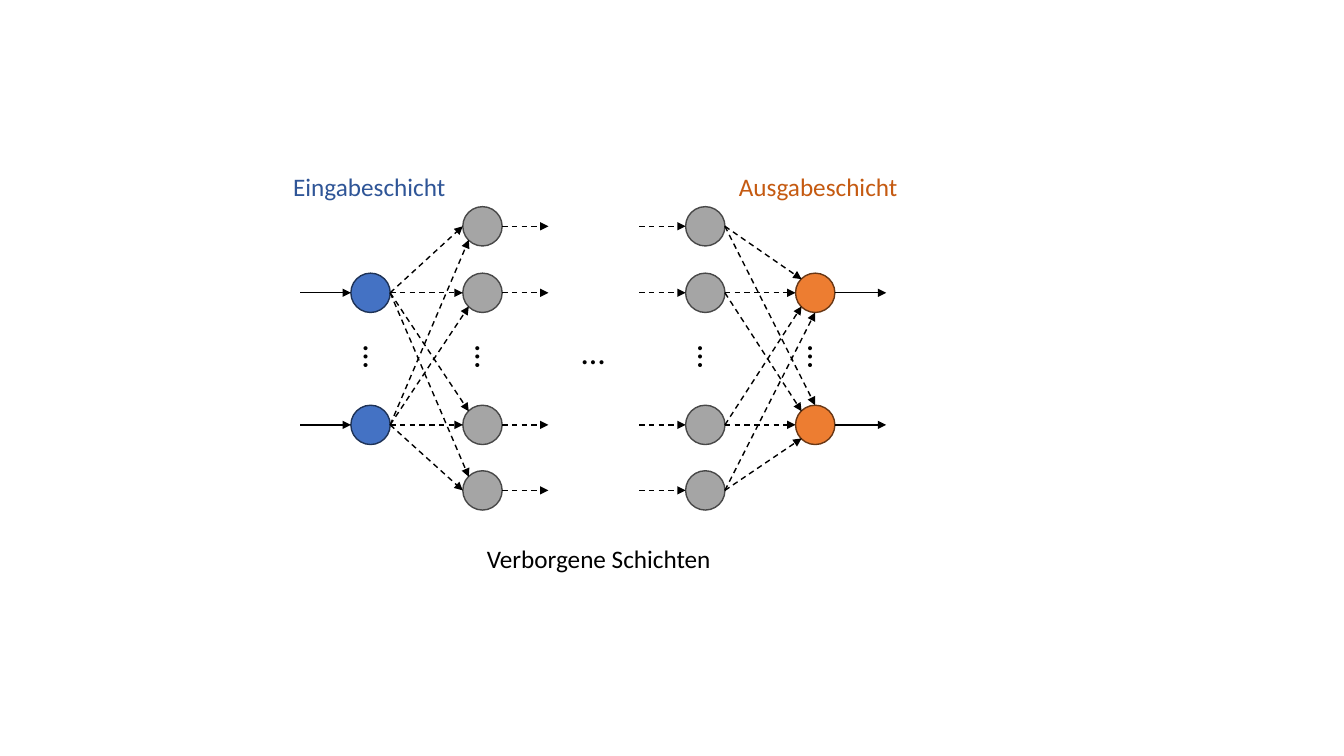
from pptx import Presentation
from pptx.dml.color import RGBColor
from pptx.enum import dml, shapes, text
from pptx.oxml import xmlchemy
from pptx.util import Inches, Pt

COLORS = {
    "input": "4472C4", "input_edge": "1E3256", "input_label": "2F5597",
    "hidden": "A5A5A5", "hidden_edge": "484848",
    "output": "ED7D31", "output_edge": "683715", "output_label": "C55A11",
    "ink": "000000",
}
DIAMETER = 0.39
CORNER = 0.06
SITES = {
    "left": (0, DIAMETER / 2),
    "right": (DIAMETER, DIAMETER / 2),
    "top": (DIAMETER / 2, 0),
    "bottom": (DIAMETER / 2, DIAMETER),
    "top_left": (CORNER, CORNER),
    "bottom_left": (CORNER, DIAMETER - CORNER),
}
HIDDEN_ROWS = (0, 0.66, 1.97, 2.62)
OUTER_ROWS = HIDDEN_ROWS[1:3]
INPUT_LINKS = (
    (0, 0, "left"), (0, 1, "left"), (0, 2, "top_left"), (0, 3, "top_left"),
    (1, 0, "bottom_left"), (1, 1, "bottom_left"), (1, 2, "left"), (1, 3, "left"),
)
OUTPUT_LINKS = (
    (0, 0, "top_left"), (0, 1, "top"), (1, 0, "left"), (1, 1, "top_left"),
    (2, 0, "bottom_left"), (2, 1, "left"), (3, 1, "bottom_left"), (3, 0, "bottom"),
)


def color(key):
    return RGBColor.from_string(COLORS[key])


def site(node, name):
    dx, dy = SITES[name]
    return node[0] + dx, node[1] + dy


def add_arrow(slide, start, end, dashed=True):
    arrow = slide.shapes.add_connector(
        shapes.MSO_CONNECTOR.STRAIGHT, *map(Inches, (*start, *end)))
    arrow.line.color.rgb = color("ink")
    arrow.line.width = Pt(1)
    if dashed:
        arrow.line.dash_style = dml.MSO_LINE.DASH
    head = xmlchemy.OxmlElement("a:tailEnd")
    head.set("type", "triangle")
    arrow.line._get_or_add_ln().append(head)
    arrow._element.spPr.append(xmlchemy.OxmlElement("a:effectLst"))


def add_label(slide, box, wording, size, ink, rotation=0):
    label = slide.shapes.add_textbox(*map(Inches, box))
    label.rotation = rotation
    frame = label.text_frame
    frame.word_wrap = False
    frame.auto_size = text.MSO_AUTO_SIZE.SHAPE_TO_FIT_TEXT
    run = frame.paragraphs[0].add_run()
    run.text = wording
    run.font.name = "Calibri"
    run.font.size = Pt(size)
    run.font.color.rgb = color(ink)


def add_dots(slide, left, top, rotation=0):
    add_label(slide, (left, top, 0.44, 0.5), "…", 24, "ink", rotation)


def add_layer(slide, left, top, rows, kind):
    nodes = [(left, top + row) for row in rows]
    for node in nodes:
        neuron = slide.shapes.add_shape(
            shapes.MSO_SHAPE.OVAL, *map(Inches, (*node, DIAMETER, DIAMETER)))
        neuron.shadow.inherit = False
        neuron.fill.solid()
        neuron.fill.fore_color.rgb = color(kind)
        neuron.line.color.rgb = color(kind + "_edge")
        neuron.line.width = Pt(1)
    add_dots(slide, left + 0.04, top + 1.25, rotation=90)
    return nodes


def add_links(slide, sources, targets, links):
    for source, target, name in links:
        add_arrow(slide, site(sources[source], "right"), site(targets[target], name))


def add_incoming(slide, nodes, length, dashed=True):
    for node in nodes:
        x, y = site(node, "left")
        add_arrow(slide, (x - length, y), (x, y), dashed)


def add_outgoing(slide, nodes, length, dashed=True):
    for node in nodes:
        x, y = site(node, "right")
        add_arrow(slide, (x, y), (x + length, y), dashed)


def add_network(slide, left, top):
    nodes_top = top + 0.4
    inputs = add_layer(slide, left + 0.67, nodes_top, OUTER_ROWS, "input")
    first_hidden = add_layer(slide, left + 1.78, nodes_top, HIDDEN_ROWS, "hidden")
    last_hidden = add_layer(slide, left + 3.99, nodes_top, HIDDEN_ROWS, "hidden")
    outputs = add_layer(slide, left + 5.08, nodes_top, OUTER_ROWS, "output")

    add_links(slide, inputs, first_hidden, INPUT_LINKS)
    add_outgoing(slide, first_hidden, 0.46)
    add_incoming(slide, last_hidden, 0.46)
    add_links(slide, last_hidden, outputs, OUTPUT_LINKS)
    add_incoming(slide, inputs, 0.5, dashed=False)
    add_outgoing(slide, outputs, 0.51, dashed=False)

    add_dots(slide, left + 2.86, top + 1.58)
    add_label(slide, (left, top, 1.73, 0.4), "Eingabeschicht", 18, "input_label")
    add_label(slide, (left + 4.42, top, 1.79, 0.4), "Ausgabeschicht", 18, "output_label")
    add_label(slide, (left + 1.92, top + 3.69, 2.45, 0.4), "Verborgene Schichten", 18, "ink")


def main():
    deck = Presentation()
    deck.slide_width = Inches(13.33)
    deck.slide_height = Inches(7.5)
    slide = deck.slides.add_slide(deck.slide_layouts[6])
    add_network(slide, 2.81, 1.65)
    deck.save("out.pptx")


if __name__ == "__main__":
    main()
